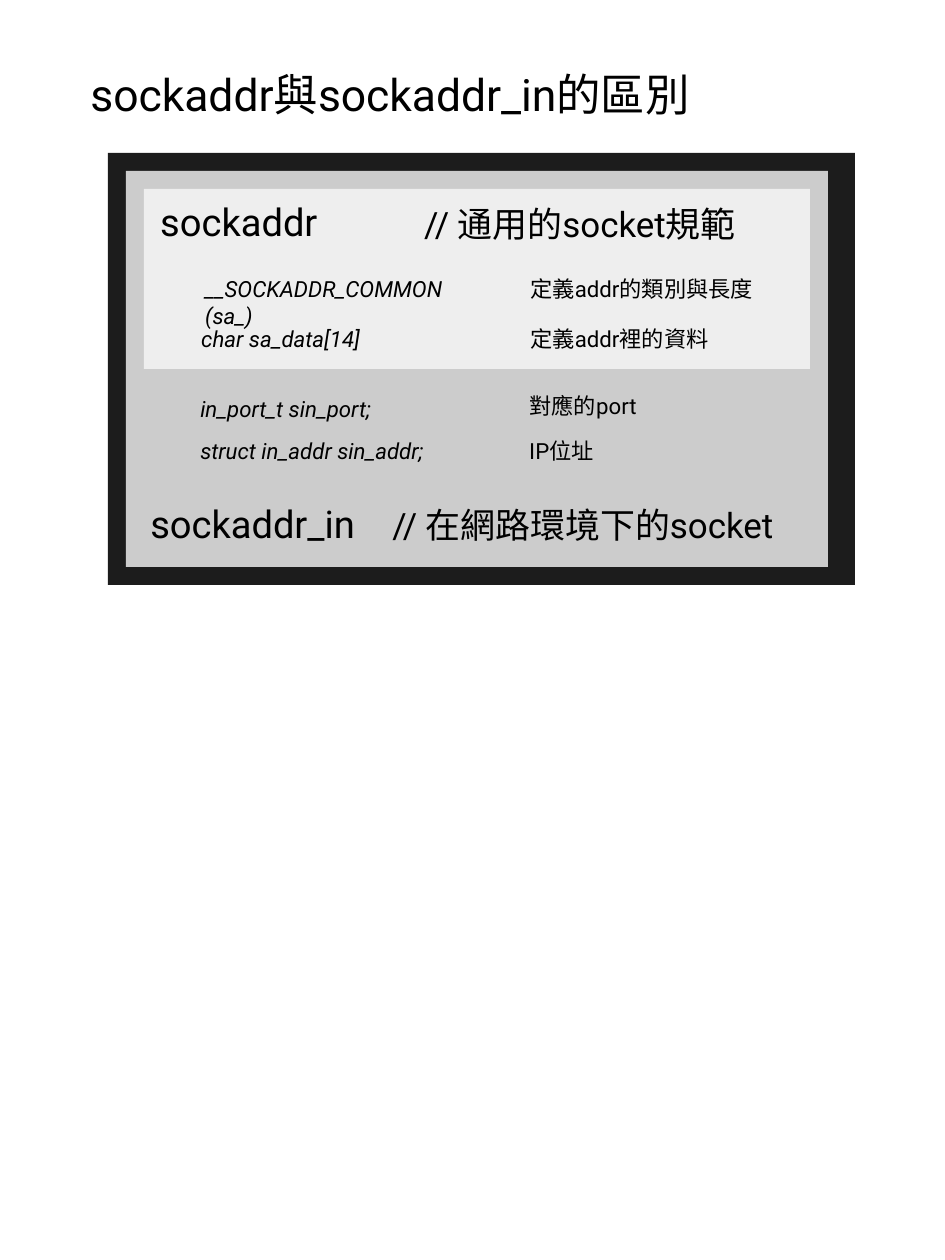
from pptx import Presentation
from pptx.dml.color import RGBColor
from pptx.enum.shapes import MSO_SHAPE
from pptx.enum.text import MSO_ANCHOR, MSO_AUTO_SIZE, PP_ALIGN
from pptx.util import Emu, Pt

SCALE = 8000
COLORS = {"ink": "000000", "frame": "1C1C1C", "outer": "CCCCCC", "inner": "EEEEEE"}
FONTS = {
    "title": {"size": Pt(28), "name": "Roboto"},
    "name": {"size": Pt(24), "name": "Roboto"},
    "remark": {"size": Pt(22), "name": "Roboto"},
    "field": {"size": Pt(14), "name": "Roboto", "italic": True},
    "note": {"size": Pt(14), "name": "Roboto"},
}
FRAME = {
    "word_wrap": True,
    "auto_size": MSO_AUTO_SIZE.NONE,
    "vertical_anchor": MSO_ANCHOR.TOP,
}
PANELS = [
    ("frame", (108, 153, 747, 432)),
    ("outer", (126, 171, 702, 396)),
    ("inner", (144, 189, 666, 180)),
]
LABELS = [
    ("name", "sockaddr", (149, 193, 186, 63)),
    ("remark", "// 通用的socket規範", (413, 197, 376, 62)),
    ("field", "__SOCKADDR_COMMON (sa_)", (194, 270, 305, 41)),
    ("note", "定義addr的類別與長度", (519, 270, 263, 43)),
    ("field", "char sa_data[14]", (190, 320, 202, 41)),
    ("note", "定義addr裡的資料", (519, 320, 218, 43)),
    ("field", "in_port_t sin_port;", (189, 390, 237, 41)),
    ("note", "對應的port", (518, 387, 141, 43)),
    ("field", "struct in_addr sin_addr;", (189, 432, 293, 41)),
    ("note", "IP位址", (518, 432, 94, 43)),
    ("name", "sockaddr_in", (139, 495, 237, 63)),
    ("remark", "// 在網路環境下的socket", (381, 498, 438, 62)),
]


def px(*sizes):
    return [Emu(size * SCALE) for size in sizes]


def apply(target, values):
    for key, value in values.items():
        setattr(target, key, value)


def write(shape, style, text):
    frame = shape.text_frame
    apply(frame, FRAME)
    line = frame.paragraphs[0]
    line.alignment = PP_ALIGN.LEFT
    run = line.add_run()
    run.text = text
    apply(run.font, FONTS[style])
    run.font.color.rgb = RGBColor.from_string(COLORS["ink"])


def add_title(slide, text, box):
    title = slide.shapes.title
    apply(title, dict(zip(("left", "top", "width", "height"), px(*box))))
    write(title, "title", text)


def add_panel(slide, color, box):
    panel = slide.shapes.add_shape(MSO_SHAPE.RECTANGLE, *px(*box))
    panel.shadow.inherit = False
    panel.fill.solid()
    panel.fill.fore_color.rgb = RGBColor.from_string(COLORS[color])
    panel.line.fill.background()


def add_label(slide, style, text, box):
    write(slide.shapes.add_textbox(*px(*box)), style, text)


def main():
    deck = Presentation()
    deck.slide_width, deck.slide_height = px(945, 1260)
    slide = deck.slides.add_slide(deck.slide_layouts[5])
    add_title(slide, "sockaddr與sockaddr_in的區別", (79, 61, 678, 75))
    for color, box in PANELS:
        add_panel(slide, color, box)
    for style, text, box in LABELS:
        add_label(slide, style, text, box)
    deck.save("out.pptx")


if __name__ == "__main__":
    main()
